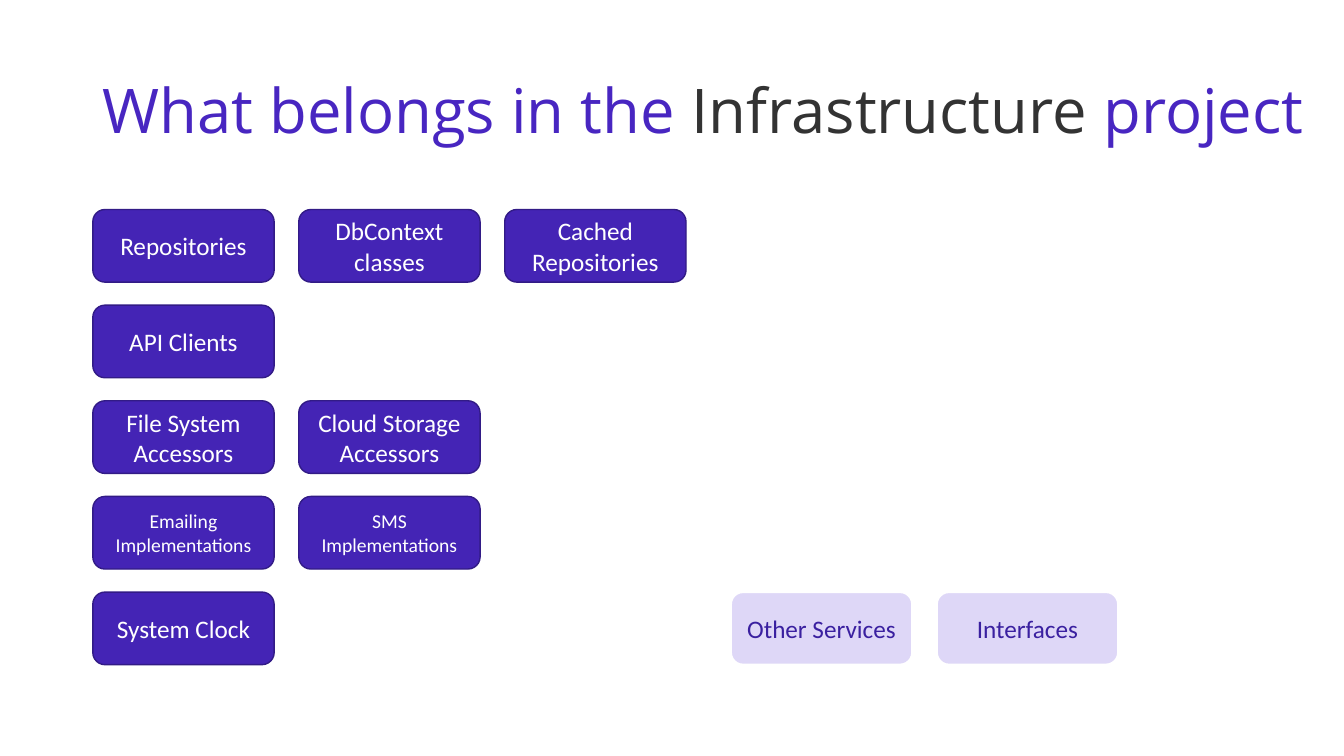
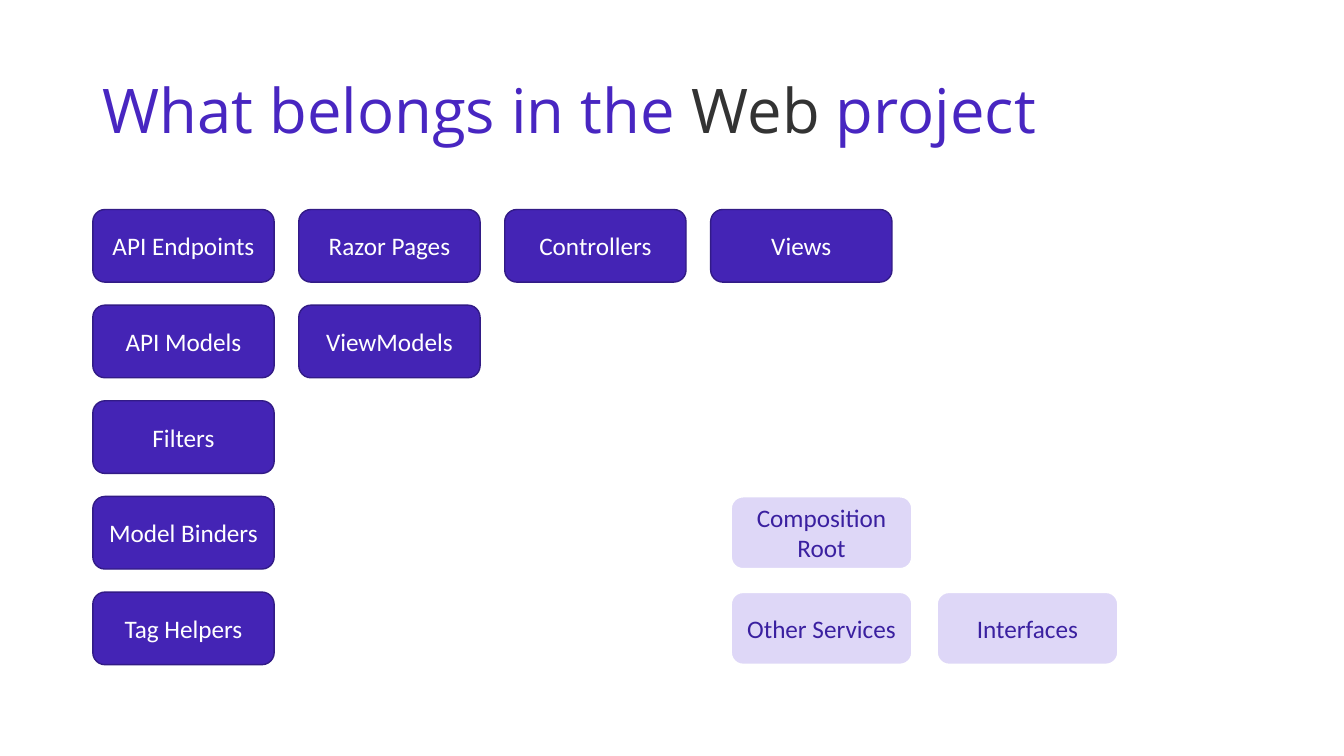
from dataclasses import dataclass

from pptx import Presentation
from pptx.dml.color import RGBColor
from pptx.enum.shapes import MSO_SHAPE as SHAPE
from pptx.enum.text import MSO_ANCHOR as ANCHOR, MSO_AUTO_SIZE as AUTO, PP_ALIGN as ALIGN
from pptx.util import Cm, Pt

COLORS = {
    "title": "4826C1",
    "emphasis": "333333",
    "tile": "4424B5",
    "tile_line": "321B86",
    "white": "FFFFFF",
    "shared": "DED7F7",
    "shared_text": "3A20A0",
}

# Tile grid, in centimetres
TILE_W, TILE_H = 4.57, 1.83
PITCH_X, PITCH_Y = 5.19, 2.41
GRID_LEFT, SHARED_LEFT, GRID_TOP = 2.34, 18.42, 5.28


@dataclass(frozen=True)
class TileStyle:
    fill: str
    line: str
    line_width: float
    text: str
    left: float


@dataclass(frozen=True)
class Tile:
    text: str
    row: int
    col: int = 0
    size: int = 18


@dataclass(frozen=True)
class ProjectSlide:
    project: str
    own: tuple[Tile, ...]
    shared: tuple[Tile, ...]


OWN = TileStyle("tile", "tile_line", 1, "white", GRID_LEFT)
SHARED = TileStyle("shared", "white", 1.5, "shared_text", SHARED_LEFT)
COMMON = (Tile("Other Services", 4), Tile("Interfaces", 4, 1))

SLIDES = (
    ProjectSlide(
        "Infrastructure",
        (
            Tile("Repositories", 0),
            Tile("DbContext classes", 0, 1),
            Tile("Cached Repositories", 0, 2),
            Tile("API Clients", 1),
            Tile("File System Accessors", 2),
            Tile("Cloud Storage Accessors", 2, 1),
            Tile("Emailing Implementations", 3, size=14),
            Tile("SMS Implementations", 3, 1, size=14),
            Tile("System Clock", 4),
        ),
        COMMON,
    ),
    ProjectSlide(
        "Web",
        (
            Tile("API Endpoints", 0),
            Tile("Razor Pages", 0, 1),
            Tile("Controllers", 0, 2),
            Tile("Views", 0, 3),
            Tile("API Models", 1),
            Tile("ViewModels", 1, 1),
            Tile("Filters", 2),
            Tile("Model Binders", 3),
            Tile("Tag Helpers", 4),
        ),
        (Tile("Composition Root", 3),) + COMMON,
    ),
)


def rgb(name: str) -> RGBColor:
    return RGBColor.from_string(COLORS[name])


def add_run(p, text: str, *, size: float, color: str, font: str = "Calibri") -> None:
    r = p.add_run()
    r.text = text
    r.font.name = font
    r.font.size = Pt(size)
    r.font.color.rgb = rgb(color)


def add_title(s, project: str) -> None:
    sp = s.shapes.title
    sp.left, sp.top, sp.width, sp.height = Cm(2.34), Cm(1.02), Cm(31.06), Cm(3.68)
    tf = sp.text_frame
    tf.word_wrap = True
    tf.auto_size = AUTO.NONE
    tf.vertical_anchor = ANCHOR.MIDDLE
    p = tf.paragraphs[0]
    p.alignment = ALIGN.LEFT
    p.line_spacing = 0.9
    for text, color in (
        ("What belongs in the ", "title"),
        (project, "emphasis"),
        (" project", "title"),
    ):
        add_run(p, text, size=44, color=color, font="Open Sans")


def add_tile(s, tile: Tile, style: TileStyle) -> None:
    sp = s.shapes.add_shape(
        SHAPE.ROUNDED_RECTANGLE,
        Cm(style.left + tile.col * PITCH_X),
        Cm(GRID_TOP + tile.row * PITCH_Y),
        Cm(TILE_W),
        Cm(TILE_H),
    )
    sp.shadow.inherit = False
    sp.fill.solid()
    sp.fill.fore_color.rgb = rgb(style.fill)
    sp.line.color.rgb = rgb(style.line)
    sp.line.width = Pt(style.line_width)
    tf = sp.text_frame
    tf.word_wrap = True
    tf.vertical_anchor = ANCHOR.MIDDLE
    p = tf.paragraphs[0]
    p.alignment = ALIGN.CENTER
    add_run(p, tile.text, size=tile.size, color=style.text)


def main() -> None:
    prs = Presentation()
    prs.slide_width, prs.slide_height = Cm(33.87), Cm(19.05)
    title_only = prs.slide_layouts.get_by_name("Title Only")
    for content in SLIDES:
        s = prs.slides.add_slide(title_only)
        add_title(s, content.project)
        # The project's own parts, then the parts common to projects
        for tiles, style in ((content.own, OWN), (content.shared, SHARED)):
            for tile in tiles:
                add_tile(s, tile, style)
    prs.save("out.pptx")


if __name__ == "__main__":
    main()
